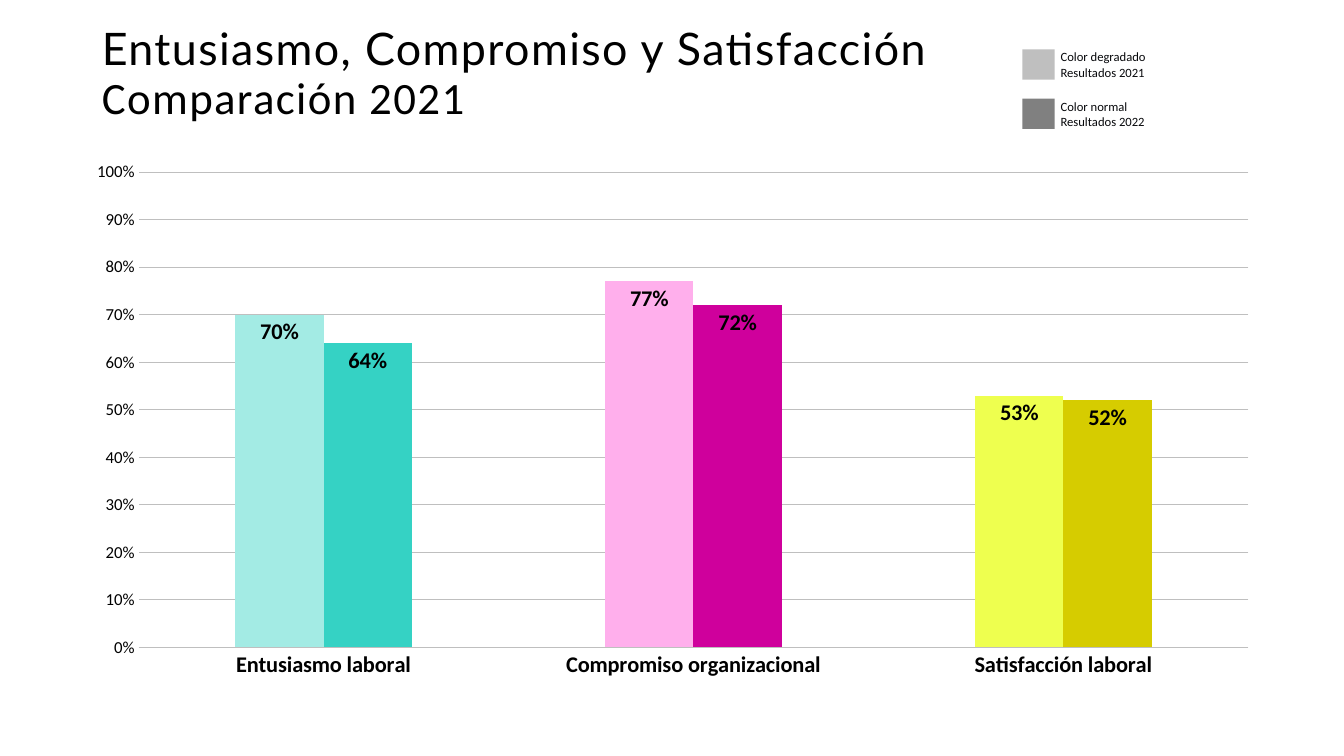
"""Build a slide comparing enthusiasm, commitment and satisfaction in 2021 and 2022."""
from copy import deepcopy

from lxml import etree
from pptx import Presentation
from pptx.chart.data import CategoryChartData
from pptx.dml.color import RGBColor
from pptx.enum.chart import XL_CHART_TYPE, XL_LABEL_POSITION, XL_TICK_MARK
from pptx.enum.shapes import MSO_SHAPE
from pptx.enum.text import MSO_ANCHOR, PP_ALIGN
from pptx.oxml.ns import qn
from pptx.util import Inches, Pt


def color(value):
    return RGBColor.from_string(value)


def style_font(font, size, value, bold=False):
    font.name = "Calibri"
    font.size = Pt(size)
    font.bold = bold
    font.color.rgb = color(value)


presentation = Presentation()
presentation.slide_width = Inches(13.33)
presentation.slide_height = Inches(7.5)
slide = presentation.slides.add_slide(presentation.slide_layouts[5])

title = slide.shapes.title
title.left, title.top = Inches(1.01), Inches(0.27)
title.width, title.height = Inches(8.56), Inches(1.06)
title_frame = title.text_frame
title_frame.margin_left = title_frame.margin_right = 0
title_frame.margin_top = title_frame.margin_bottom = 0
title_frame.vertical_anchor = MSO_ANCHOR.TOP
title_frame.word_wrap = True
title_frame.text = "Entusiasmo, Compromiso y Satisfacción\vComparación 2021"
paragraph = title_frame.paragraphs[0]
paragraph.alignment = PP_ALIGN.LEFT
paragraph.line_spacing = 0.9
style_font(paragraph.font, 32, "000000")
for run, font_name in zip(paragraph.runs, ["Lato", "Calibri"]):
    run.font.name = font_name
    run.font.size = Pt(32)
    run.font._element.set("spc", "100")
line_break = paragraph._p.find(qn("a:br"))
line_break.append(deepcopy(paragraph.runs[0].font._element))

legend = [
    ("Color degradado", "Resultados 2021", "BFBFBF"),
    ("Color normal", "Resultados 2022", "808080"),
]
for index, (shade, results, fill) in enumerate(legend):
    top = 0.49 + 0.49 * index
    swatch = slide.shapes.add_shape(
        MSO_SHAPE.RECTANGLE, Inches(10.14), Inches(top), Inches(0.32), Inches(0.3))
    swatch.shadow.inherit = False
    swatch.fill.solid()
    swatch.fill.fore_color.rgb = color(fill)
    swatch.line.fill.background()
    label = slide.shapes.add_textbox(
        Inches(10.42), Inches(top - 0.05), Inches(2.22), Inches(0.4))
    label.text_frame.word_wrap = True
    label.text_frame.text = f"{shade}\n{results}"
    for paragraph in label.text_frame.paragraphs:
        style_font(paragraph.font, 9, "07080B")

chart_data = CategoryChartData(number_format="0%")
chart_data.categories = [
    "Entusiasmo laboral", "Compromiso organizacional", "Satisfacción laboral"]
chart_data.add_series("Series 1", [0.7, 0.77, 0.53])
chart_data.add_series("Series 2", [0.64, 0.72, 0.52])
chart = slide.shapes.add_chart(
    XL_CHART_TYPE.COLUMN_CLUSTERED, Inches(0.72), Inches(1.5),
    Inches(11.9), Inches(5.34), chart_data).chart
chart.has_legend = False
chart.has_title = False
style_font(chart.font, 10, "000000")

plot_area = chart._chartSpace.find(f".//{qn('c:plotArea')}")
for layout in plot_area.findall(qn("c:layout")):
    plot_area.remove(layout)
layout = etree.Element(qn("c:layout"))
plot_area.insert(0, layout)
manual_layout = etree.SubElement(layout, qn("c:manualLayout"))
for tag, value in [
    ("layoutTarget", "inner"), ("xMode", "edge"), ("yMode", "edge"),
    ("x", "0.055"), ("y", "0.039"), ("w", "0.925"), ("h", "0.883"),
]:
    etree.SubElement(manual_layout, qn(f"c:{tag}")).set("val", value)

category_axis = chart.category_axis
category_axis.major_tick_mark = XL_TICK_MARK.NONE
category_axis.format.line.color.rgb = color("BFBFBF")
category_axis.format.line.width = Pt(0.75)
style_font(category_axis.tick_labels.font, 16, "000000", bold=True)

value_axis = chart.value_axis
value_axis.minimum_scale = 0
value_axis.maximum_scale = 1
value_axis.major_unit = 0.1
value_axis.major_tick_mark = XL_TICK_MARK.NONE
value_axis.format.line.fill.background()
value_axis.major_gridlines.format.line.color.rgb = color("BFBFBF")
value_axis.major_gridlines.format.line.width = Pt(0.5)
value_axis.tick_labels.number_format = "0%"
value_axis.tick_labels.number_format_is_linked = False
style_font(value_axis.tick_labels.font, 12, "000000")

plot = chart.plots[0]
plot.gap_width = 219
plot.overlap = 0
plot.vary_by_categories = False
series_colors = [
    ("35D2C4", ["A3EBE4", "FFAFEC", "EEFF4F"]),
    ("C3D600", ["35D2C4", "CF009C", "D6CC00"]),
]
for series, (series_color, point_colors) in zip(plot.series, series_colors):
    series.format.fill.solid()
    series.format.fill.fore_color.rgb = color(series_color)
    for index, point_color in enumerate(point_colors):
        point_fill = series.points[index].format.fill
        point_fill.solid()
        point_fill.fore_color.rgb = color(point_color)
    labels = series.data_labels
    labels.show_value = True
    labels.position = XL_LABEL_POSITION.INSIDE_END
    labels.number_format = "0%"
    labels.number_format_is_linked = False
    style_font(labels.font, 16, "000000", bold=True)

presentation.save("out.pptx")
